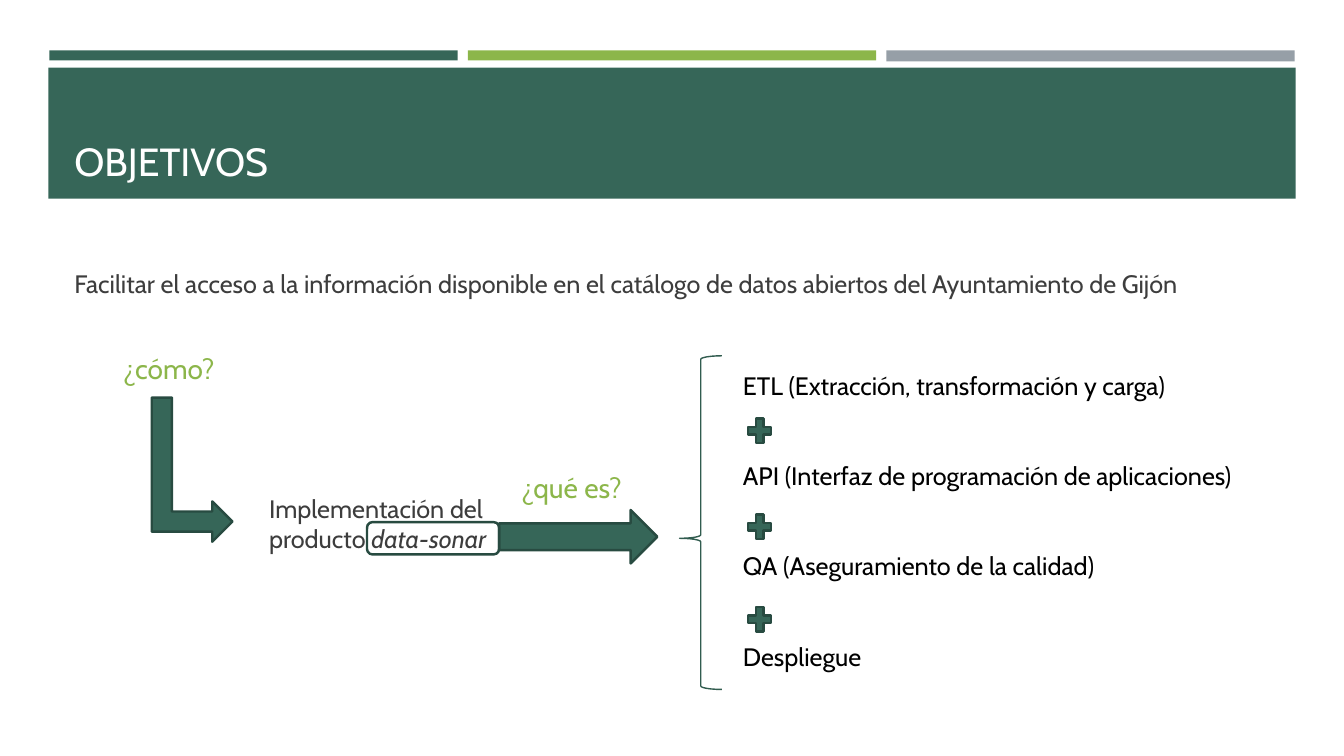
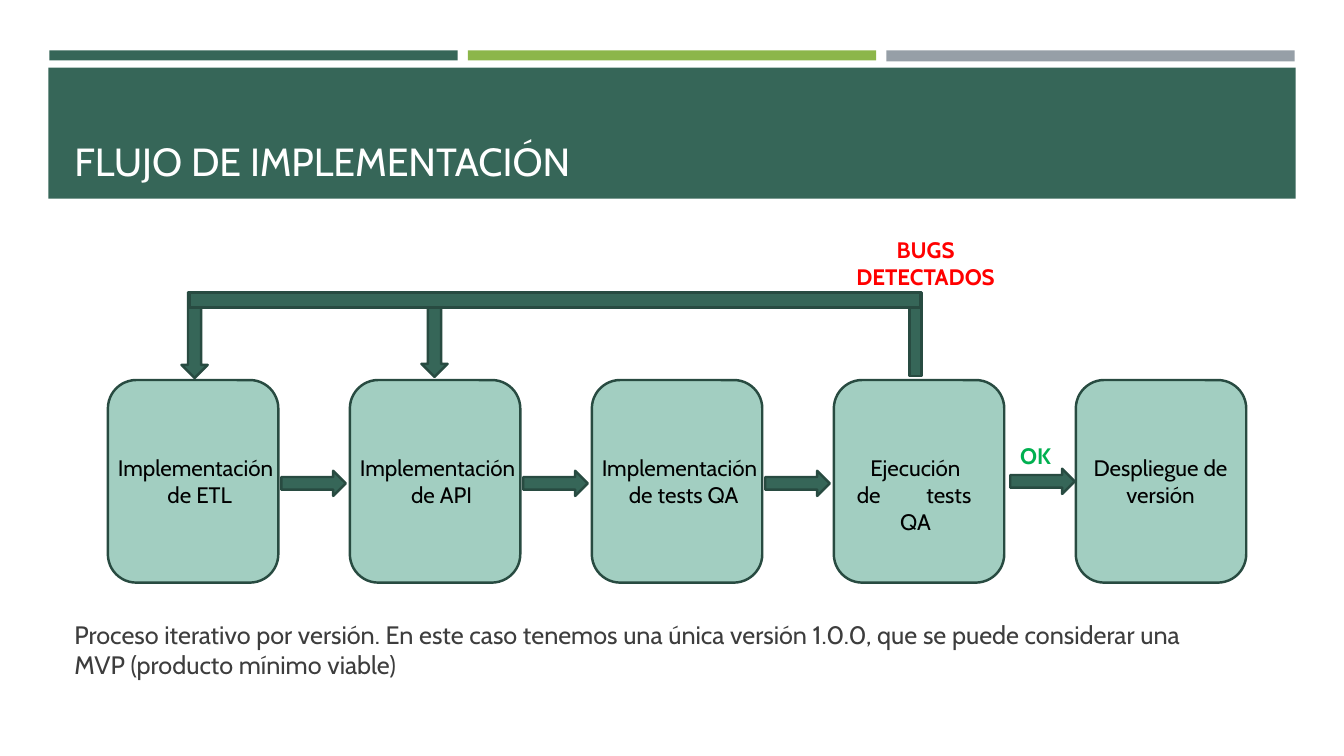
"""Build two Spanish slides on project objectives and implementation flow."""
from dataclasses import dataclass
from typing import NamedTuple, Optional

from lxml.etree import SubElement
from pptx import Presentation
from pptx.dml.color import RGBColor
from pptx.enum.shapes import MSO_SHAPE as Shape
from pptx.enum.text import MSO_ANCHOR as Anchor, PP_ALIGN as Align
from pptx.oxml.ns import qn
from pptx.util import Inches, Pt


@dataclass(frozen=True)
class Theme:
    """Colours, font and type sizes of the deck."""
    font: str = "Cabin"
    green: str = "366658"
    lime: str = "8CB64A"
    grey: str = "969FA7"
    mint: str = "A2CEC1"
    outline: str = "284B41"
    brace: str = "315C4F"
    white: str = "FFFFFF"
    black: str = "000000"
    body: str = "3D3D3D"
    success: str = "00B050"
    failure: str = "FF0000"
    title_size: float = 28
    label_size: float = 20
    body_size: float = 18
    step_size: float = 16
    line_width: float = 1.75
    brace_width: float = 1


THEME = Theme()


class Frame(NamedTuple):
    """Left, top, width and height in inches."""
    left: float
    top: float
    width: float
    height: float

    def lengths(self) -> tuple:
        """Return the four measures as lengths."""
        return tuple(Inches(value) for value in self)


@dataclass(frozen=True)
class TextStyle:
    """Look of a text box."""
    size: float
    color: str
    bold: bool = False
    anchor: Anchor = Anchor.TOP
    before: float = 0
    after: float = 0
    gap: float = 0
    bottom: float = 0.05


@dataclass(frozen=True)
class Line:
    """One paragraph with its alignment and optional tab stop."""
    text: str
    align: Align = Align.LEFT
    tab: Optional[float] = None


@dataclass(frozen=True)
class Step:
    """Text of one flow step and the place of its text box."""
    lines: tuple
    shift: float = 0
    width: float = 1.82


@dataclass(frozen=True)
class Figure:
    """A preset shape with its look."""
    kind: Shape
    frame: Frame
    fill: Optional[str] = THEME.green
    line: Optional[str] = THEME.outline
    width: float = THEME.line_width
    rotation: float = 0
    adjustments: tuple = ()


TITLE = TextStyle(THEME.title_size, THEME.white, anchor=Anchor.BOTTOM)
BODY = TextStyle(THEME.body_size, THEME.body, anchor=Anchor.MIDDLE,
                 before=3.6, after=6, bottom=0.43)
QUESTION = TextStyle(THEME.label_size, THEME.lime)
PARTS = TextStyle(THEME.body_size, THEME.black, gap=43)
STEP = TextStyle(THEME.step_size, THEME.black)
PASSED = TextStyle(THEME.step_size, THEME.success, bold=True)
FAILED = TextStyle(THEME.step_size, THEME.failure, bold=True)

HEADER = (
    Figure(Shape.RECTANGLE, Frame(0.49, 0.5, 4.05, 0.1), line=None),
    Figure(Shape.RECTANGLE, Frame(8.79, 0.5, 4.05, 0.11), THEME.grey, None),
    Figure(Shape.RECTANGLE, Frame(4.64, 0.5, 4.05, 0.1), THEME.lime, None),
    Figure(Shape.RECTANGLE, Frame(0.48, 0.67, 12.37, 1.3), line=None),
)


def draw(shapes, figure: Figure) -> None:
    """Draw one preset shape."""
    shape = shapes.add_shape(figure.kind, *figure.frame.lengths())
    shape.shadow.inherit = False
    shape.rotation = figure.rotation
    for index, value in enumerate(figure.adjustments):
        shape.adjustments[index] = value
    if figure.fill:
        shape.fill.solid()
        shape.fill.fore_color.rgb = RGBColor.from_string(figure.fill)
    else:
        shape.fill.background()
    if figure.line:
        shape.line.color.rgb = RGBColor.from_string(figure.line)
        shape.line.width = Pt(figure.width)
    else:
        shape.line.fill.background()


def format_span(span, style: TextStyle, italic: bool = False) -> None:
    """Apply a text style to one run."""
    span.font.name = THEME.font
    span.font.size = Pt(style.size)
    span.font.bold = style.bold
    span.font.italic = italic
    span.font.color.rgb = RGBColor.from_string(style.color)


def add_tab(para, position: float) -> None:
    """Give a paragraph a left tab stop."""
    stops = SubElement(para._p.get_or_add_pPr(), qn("a:tabLst"))
    SubElement(stops, qn("a:tab"), pos=str(Inches(position)), algn="l")


def write(shapes, frame: Frame, style: TextStyle, *lines: Line):
    """Add a text box and return its last paragraph."""
    box = shapes.add_textbox(*frame.lengths())
    text_frame = box.text_frame
    text_frame.word_wrap = True
    text_frame.vertical_anchor = style.anchor
    text_frame.margin_bottom = Inches(style.bottom)
    text_frame.text = "\n".join(line.text for line in lines)
    for index, (para, line) in enumerate(zip(text_frame.paragraphs, lines)):
        para.alignment = line.align
        para.space_before = Pt(style.gap if index else style.before)
        para.space_after = Pt(style.after)
        if line.tab is not None:
            add_tab(para, line.tab)
        for span in para.runs:
            format_span(span, style)
    return text_frame.paragraphs[-1]


def add_page(deck, title: str):
    """Add a blank page with the header bands and a title."""
    page = deck.slides.add_slide(deck.slide_layouts[6])
    for band in HEADER:
        draw(page.shapes, band)
    write(page.shapes, Frame(0.64, 0.77, 12.06, 1.11), TITLE, Line(title))
    return page


def add_objectives(deck) -> None:
    """Add the page of objectives."""
    shapes = add_page(deck, "OBJETIVOS").shapes
    write(shapes, Frame(0.64, 2.07, 11.26, 1.87), BODY,
          Line("Facilitar el acceso a la información disponible en el catálogo "
               "de datos abiertos del Ayuntamiento de Gijón"))
    product = write(shapes, Frame(2.57, 4.76, 2.52, 1.24), BODY,
                    Line("Implementación del producto "))
    span = product.add_run()
    span.text = "data-sonar"
    format_span(span, BODY, italic=True)
    write(shapes, Frame(1.12, 3.44, 1.11, 0.44), QUESTION, Line("¿cómo?"))
    draw(shapes, Figure(Shape.BENT_UP_ARROW, Frame(1.19, 4.26, 1.43, 0.8),
                        rotation=90))
    draw(shapes, Figure(Shape.RIGHT_ARROW, Frame(4.95, 5.06, 1.57, 0.53)))
    write(shapes, Frame(7.27, 3.62, 5.06, 3.13), PARTS,
          Line("ETL (Extracción, transformación y carga)"),
          Line("API (Interfaz de programación de aplicaciones)"),
          Line("QA (Aseguramiento de la calidad)"),
          Line("Despliegue"))
    write(shapes, Frame(5.07, 4.62, 1.21, 0.44), QUESTION, Line("¿qué es?"))
    draw(shapes, Figure(Shape.ROUNDED_RECTANGLE, Frame(3.64, 5.18, 1.31, 0.32),
                        fill=None))
    for top in (4.11, 5.06, 5.98):
        draw(shapes, Figure(Shape.MATH_PLUS, Frame(7.38, top, 0.31, 0.33)))
    draw(shapes, Figure(Shape.LEFT_BRACE, Frame(6.74, 3.53, 0.42, 3.31), None,
                        THEME.brace, THEME.brace_width,
                        adjustments=(0.083, 0.547)))


def build_step(task: str) -> Step:
    """Describe an implementation step."""
    return Step((Line("Implementación"), Line(task, Align.CENTER)))


def add_flow(deck) -> None:
    """Add the page of the implementation flow."""
    shapes = add_page(deck, "FLUJO DE IMPLEMENTACIÓN").shapes
    steps = (
        build_step("de ETL"),
        build_step("de API"),
        build_step("de tests QA"),
        Step((Line("Ejecución", Align.CENTER),
              Line("de\ttests", tab=0.69),
              Line("QA", Align.CENTER)), 0.13, 1.36),
        Step((Line("Despliegue de versión", Align.CENTER),), -0.07),
    )
    first_left, pitch = 1.07, 2.4
    for index, step in enumerate(steps):
        left = first_left + index * pitch
        group = shapes.add_group_shape()
        draw(group.shapes, Figure(Shape.ROUNDED_RECTANGLE,
                                  Frame(left, 3.77, 1.69, 2.01), THEME.mint))
        write(group.shapes, Frame(left + step.shift, 4.46, step.width, 0.64),
              STEP, *step.lines)
    for left, top in ((2.79, 4.67), (5.19, 4.67), (7.59, 4.67), (10.02, 4.65)):
        draw(shapes, Figure(Shape.RIGHT_ARROW, Frame(left, top, 0.64, 0.25)))
    write(shapes, Frame(10.02, 4.34, 0.71, 0.37), PASSED, Line("OK"))
    write(shapes, Frame(8.27, 2.29, 1.82, 0.64), FAILED,
          Line("BUGS DETECTADOS", Align.CENTER))
    for kind, frame in (
        (Shape.RECTANGLE, Frame(9.02, 2.9, 0.12, 0.83)),
        (Shape.DOWN_ARROW, Frame(1.8, 2.9, 0.26, 0.85)),
        (Shape.DOWN_ARROW, Frame(4.18, 2.9, 0.26, 0.84)),
        (Shape.RECTANGLE, Frame(1.88, 2.9, 7.25, 0.15)),
    ):
        draw(shapes, Figure(kind, frame))
    write(shapes, Frame(0.64, 5.7, 11.26, 1.87), BODY,
          Line("Proceso iterativo por versión. En este caso tenemos una única "
               "versión 1.0.0, que se puede considerar una MVP (producto "
               "mínimo viable)"))


def main() -> None:
    """Build and save the deck."""
    deck = Presentation()
    deck.slide_width, deck.slide_height = Inches(13.33), Inches(7.5)
    add_objectives(deck)
    add_flow(deck)
    deck.save("out.pptx")


main()
